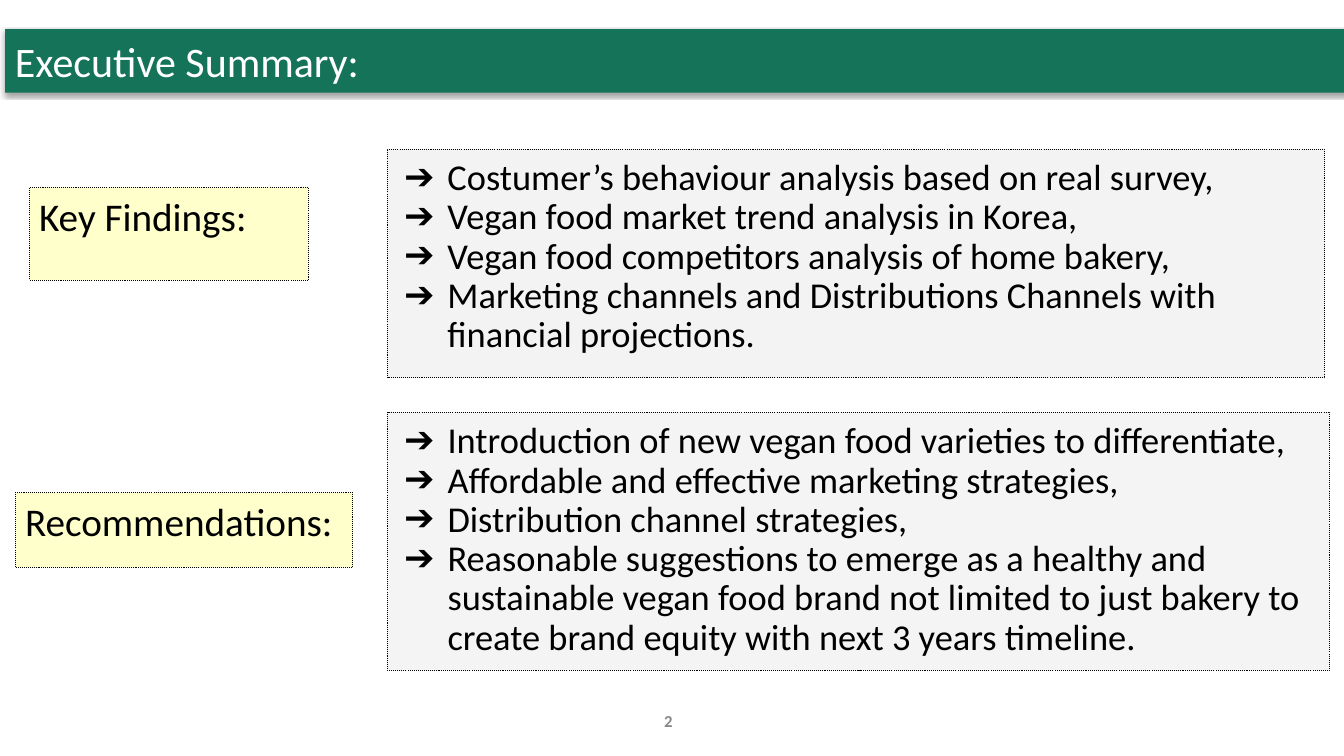
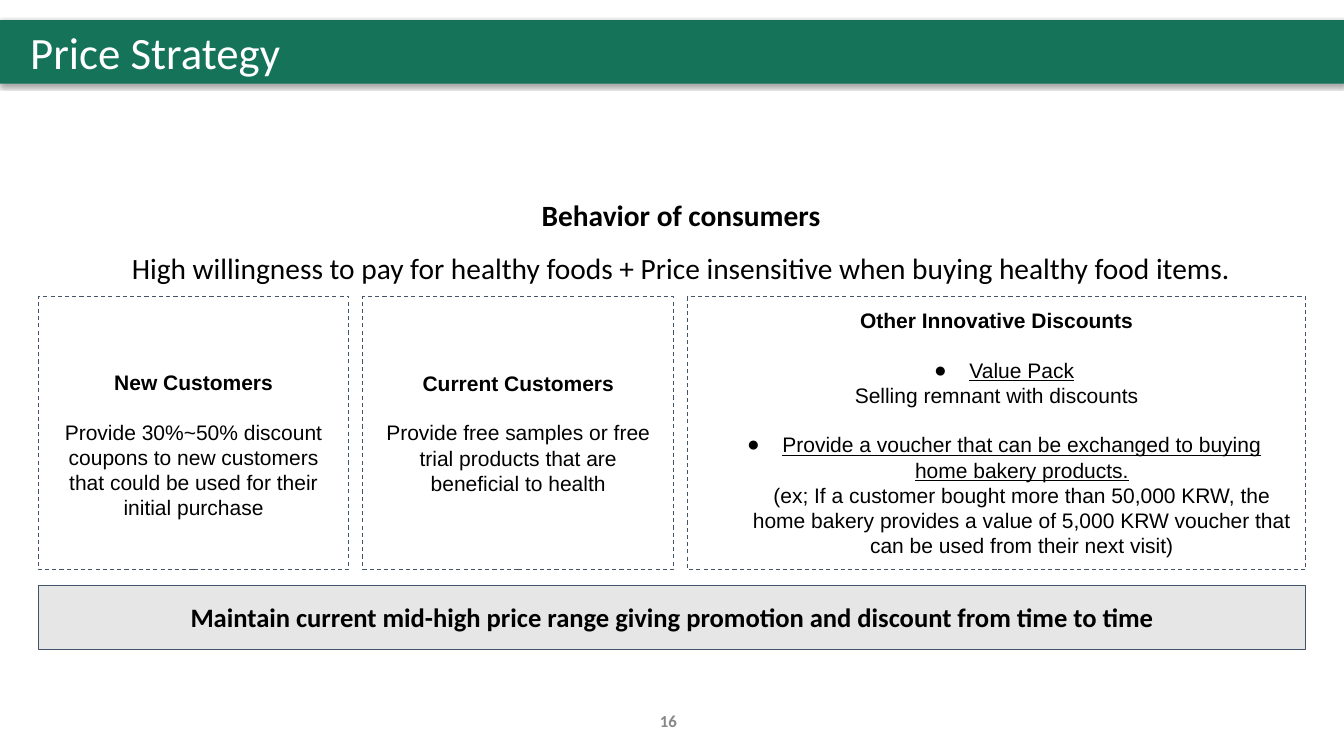
import copy
import dataclasses

import lxml.etree
import pptx
import pptx.dml.color
import pptx.enum.dml
import pptx.enum.shapes
import pptx.enum.text
import pptx.oxml.ns
import pptx.util

Inches = pptx.util.Inches
Pt = pptx.util.Pt
qn = pptx.oxml.ns.qn
ALIGN = pptx.enum.text.PP_ALIGN
ANCHOR = pptx.enum.text.MSO_ANCHOR
DASH = pptx.enum.dml.MSO_LINE


@dataclasses.dataclass(frozen=True)
class Theme:
    green: str = "157359"
    white: str = "FFFFFF"
    black: str = "000000"
    yellow: str = "FFFFCC"
    pale_gray: str = "F3F3F3"
    soft_gray: str = "F2F2F2"
    band_gray: str = "E7E6E6"
    slate: str = "44546A"
    number_gray: str = "888888"
    heading_font: str = "Calibri"
    card_font: str = "Arial"
    label_size: int = 28
    list_size: int = 26
    intro_size: int = 21
    band_size: int = 19
    card_size: int = 15
    number_size: int = 12
    line_width: float = 0.75
    card_gap: float = 17.25


THEME = Theme()
WIDTH, HEIGHT = 13.33, 7.5
ARROW = {"symbol": "➔", "left": 0.5, "hanging": -0.43}
DOT = {"symbol": "●", "left": 0.5, "hanging": -0.35}
INDENT = {"left": 0.5, "hanging": 0}


def rgb(value):
    return pptx.dml.color.RGBColor.from_string(value)


def add_child(parent, tag, **attributes):
    return lxml.etree.SubElement(parent, qn(tag), attributes)


def set_indent(para, left, hanging, symbol=None):
    properties = para._p.get_or_add_pPr()
    properties.set("marL", str(Inches(left)))
    properties.set("indent", str(Inches(hanging)))
    if symbol:
        color = add_child(properties, "a:buClr")
        add_child(color, "a:srgbClr", val=THEME.black)
        add_child(properties, "a:buFont", typeface="Arial")
        add_child(properties, "a:buChar", char=symbol)


def write_para(para, text, font, color=THEME.black, indent=None, layout=None):
    """Fill a paragraph; a vertical tab in the text breaks the line."""
    para.text = text
    if indent:
        set_indent(para, **indent)
    for name, value in (layout or {}).items():
        setattr(para, name, value)
    for span in para.runs:
        for name, value in font.items():
            setattr(span.font, name, value)
        span.font.color.rgb = rgb(color)
    for line_break in para._p.findall(qn("a:br")):
        line_break.append(copy.deepcopy(para.runs[0]._r.rPr))


def write_paras(box, items, anchor=ANCHOR.TOP, margins=(0.1, 0.1, 0.1, 0.1)):
    """Write one paragraph for each dict of write_para arguments."""
    frame = box.text_frame
    frame.word_wrap = True
    frame.vertical_anchor = anchor
    for side, margin in zip(("left", "top", "right", "bottom"), margins):
        setattr(frame, "margin_" + side, Inches(margin))
    for index, item in enumerate(items):
        para = frame.add_paragraph() if index else frame.paragraphs[0]
        write_para(para, **item)


def add_box(page, area, fill=None, line=None, dash=None, opacity=None):
    box = page.shapes.add_shape(
        pptx.enum.shapes.MSO_SHAPE.RECTANGLE, *map(Inches, area))
    box.shadow.inherit = False
    if fill:
        box.fill.solid()
        box.fill.fore_color.rgb = rgb(fill)
    else:
        box.fill.background()
    if opacity:
        color = box._element.spPr.find(".//" + qn("a:srgbClr"))
        add_child(color, "a:alpha", val=str(opacity * 1000))
    if line:
        box.line.color.rgb = rgb(line)
        box.line.width = Pt(THEME.line_width)
        if dash:
            box.line.dash_style = dash
    else:
        box.line.fill.background()
    return box


def add_title_band(page, title, left, top, size, text_left):
    band = add_box(page, (left, top, WIDTH, 0.63), THEME.green)
    effects = band._element.spPr.find(qn("a:effectLst"))
    shadow = add_child(effects, "a:outerShdw", blurRad="40000", dist="20000",
                       dir="5400000", rotWithShape="0")
    color = add_child(shadow, "a:srgbClr", val=THEME.black)
    add_child(color, "a:alpha", val="37000")
    font = {"name": THEME.heading_font, "size": Pt(size)}
    title_item = {"text": title, "font": font, "color": THEME.white,
                  "layout": {"alignment": ALIGN.LEFT}}
    write_paras(band, [title_item], ANCHOR.MIDDLE,
                (text_left, 0.05, 0.1, 0.05))


def add_page_number(page, number):
    box = page.shapes.add_textbox(*map(Inches, (5.13, 6.95, 3, 0.4)))
    font = {"name": THEME.heading_font, "size": Pt(THEME.number_size),
            "bold": True}
    number_item = {"text": number, "font": font, "color": THEME.number_gray,
                   "layout": {"alignment": ALIGN.CENTER}}
    write_paras(box, [number_item], ANCHOR.MIDDLE, (0.1, 0.05, 0.1, 0.05))


def add_label(page, area, text):
    box = add_box(page, area, THEME.yellow, THEME.black, DASH.ROUND_DOT)
    font = {"name": THEME.heading_font, "size": Pt(THEME.label_size)}
    layout = {"alignment": ALIGN.LEFT, "line_spacing": 0.9}
    write_paras(box, [{"text": text, "font": font, "layout": layout}])


def add_arrow_list(page, area, lines, fill, opacity=None):
    box = add_box(page, area, fill, THEME.black, DASH.ROUND_DOT, opacity)
    font = {"name": THEME.heading_font, "size": Pt(THEME.list_size)}
    layout = {"alignment": ALIGN.LEFT, "line_spacing": 0.9}
    write_paras(box, [{"text": text, "font": font, "indent": ARROW,
                       "layout": layout} for text in lines])


def add_intro(page, area, heading, statement):
    box = add_box(page, area, line=THEME.white)
    layout = {"alignment": ALIGN.CENTER, "line_spacing": 1.5}
    font = {"name": THEME.heading_font, "size": Pt(THEME.intro_size)}
    items = [{"text": text, "font": {**font, "bold": bold}, "layout": layout}
             for text, bold in ((heading, True), (statement, False))]
    write_paras(box, items, margins=(0.1, 0.51, 0.1, 0.1))


def card_item(text, gap=False, indent=None, **style):
    """Describe a centred card paragraph, with a line's gap above if asked."""
    font = {"name": THEME.card_font, "size": Pt(THEME.card_size), **style}
    space = Pt(THEME.card_gap if gap else 0)
    return {"text": text, "font": font, "indent": indent,
            "layout": {"alignment": ALIGN.CENTER, "space_before": space}}


def add_card(page, area, heading, body, top_margin=0.1):
    box = add_box(page, area, THEME.white, THEME.slate, DASH.DASH)
    write_paras(box, [card_item(heading, bold=True)] + body, ANCHOR.MIDDLE,
                (0.1, top_margin, 0.1, 0.1))


def add_conclusion(page, area, text):
    box = add_box(page, area, THEME.band_gray, THEME.slate)
    font = {"name": THEME.heading_font, "size": Pt(THEME.band_size),
            "bold": True}
    write_paras(box, [{"text": text, "font": font,
                       "layout": {"alignment": ALIGN.CENTER}}], ANCHOR.MIDDLE)


def build_summary(page):
    add_title_band(page, "Executive Summary:", 0.05, 0.29, 30, 0.1)
    add_label(page, (0.29, 1.86, 2.77, 0.92), "Key Findings:")
    add_arrow_list(page, (3.84, 1.48, 9.3, 2.27), [
        "Costumer’s behaviour analysis based on real survey,",
        "Vegan food market trend analysis in Korea,",
        "Vegan food competitors analysis of home bakery,",
        "Marketing channels and Distributions Channels with financial "
        "projections.",
    ], THEME.pale_gray)
    add_label(page, (0.15, 4.89, 3.35, 0.74), "Recommendations:")
    add_arrow_list(page, (3.84, 4.09, 9.35, 2.56), [
        "Introduction of new vegan food varieties to differentiate,",
        "Affordable and effective marketing strategies,",
        "Distribution channel strategies,",
        "Reasonable suggestions to emerge as a healthy and sustainable vegan "
        "food brand not limited to just bakery to create brand equity with "
        "next 3 years timeline.",
    ], THEME.soft_gray, opacity=84)
    add_page_number(page, "2")


def build_price_strategy(page):
    add_title_band(page, "Price Strategy", 0, 0.2, 32, 0.3)
    add_intro(page, (0.09, 1.27, WIDTH, 1.51), "Behavior of consumers",
              "High willingness to pay for healthy foods + Price insensitive "
              "when buying healthy food items.")
    cards = [
        (3.08, 0.34, "New Customers", [
            card_item("Provide 30%~50% discount coupons to new customers that "
                      "could be used for their initial purchase", gap=True)]),
        (3.08, 0.1, "Current Customers", [
            card_item("Provide free samples or free trial products that are "
                      "beneficial to health", gap=True)]),
        (6.13, 0.1, "Other Innovative Discounts", [
            card_item("Value Pack", True, DOT, underline=True),
            card_item("Selling remnant with discounts"),
            card_item("Provide a voucher that can be exchanged to buying\v"
                      "home bakery products.", True, DOT, underline=True),
            card_item("(ex; If a customer bought more than 50,000 KRW, the "
                      "home bakery provides a value of 5,000 KRW voucher that "
                      "can be used from their next visit)", indent=INDENT)]),
    ]
    margin, gap = 0.38, 0.14
    left = margin
    for width, top_margin, heading, body in cards:
        add_card(page, (left, 2.94, width, 2.71), heading, body, top_margin)
        left += width + gap
    add_conclusion(page, (margin, 5.81, left - gap - margin, 0.63),
                   "Maintain current mid-high price range giving promotion "
                   "and discount from time to time")
    add_page_number(page, "16")


def main():
    deck = pptx.Presentation()
    deck.slide_width, deck.slide_height = Inches(WIDTH), Inches(HEIGHT)
    for build in (build_summary, build_price_strategy):
        build(deck.slides.add_slide(deck.slide_layouts[6]))
    deck.save("out.pptx")


if __name__ == "__main__":
    main()
